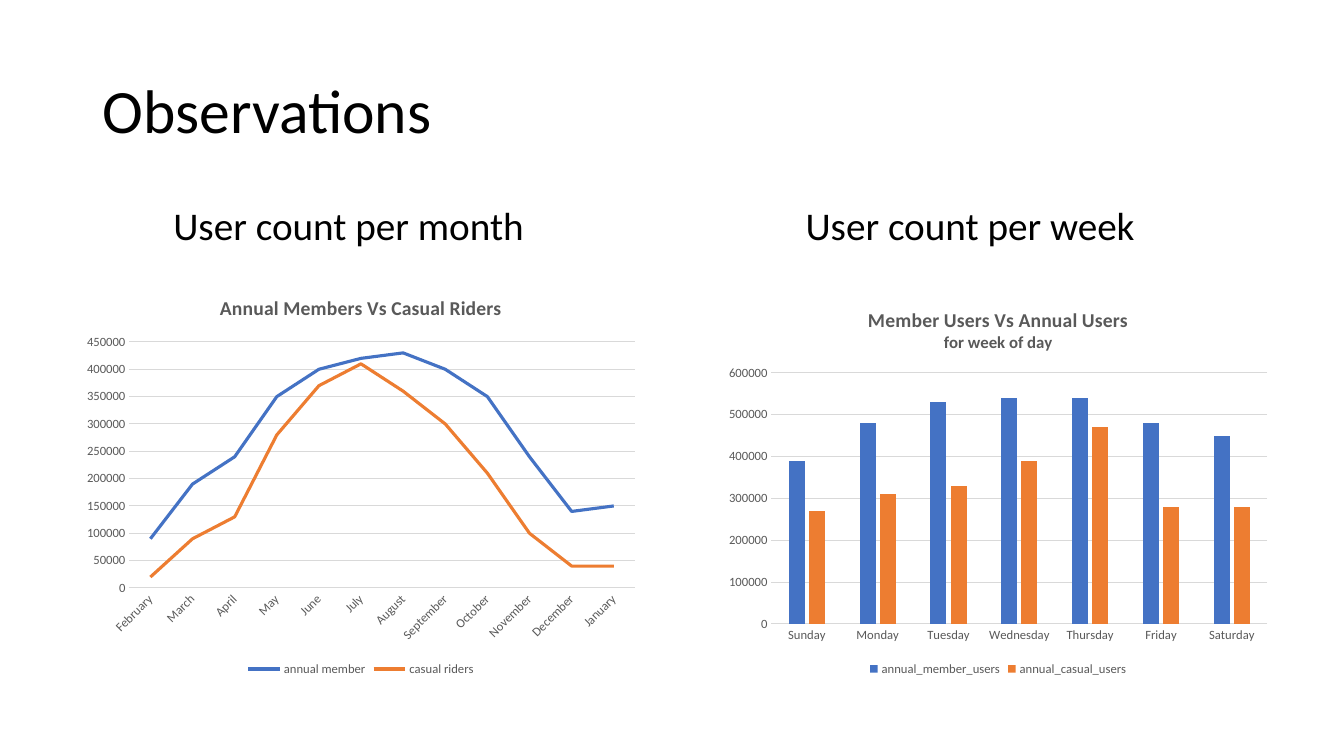
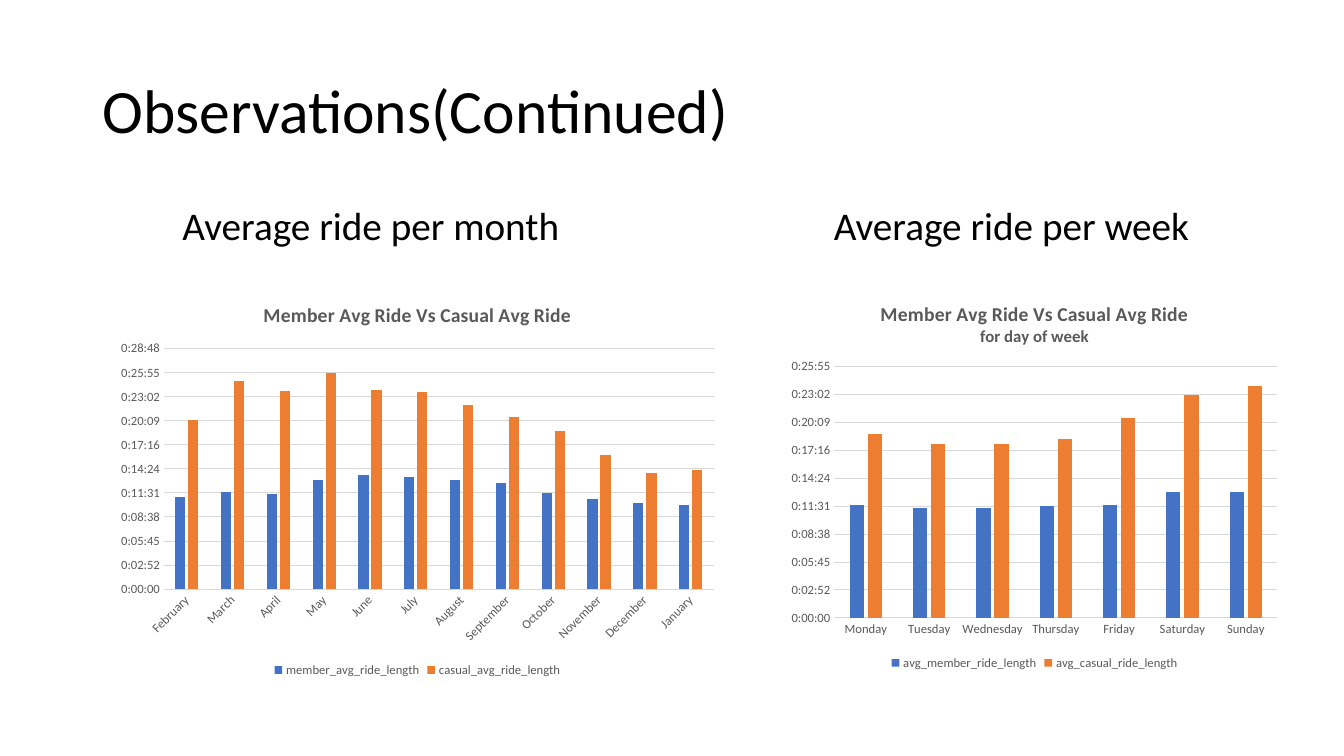
import dataclasses

import pptx
import pptx.chart.data
import pptx.dml.color
import pptx.enum.chart
import pptx.enum.text
import pptx.util

Inches = pptx.util.Inches
Pt = pptx.util.Pt
ChartType = pptx.enum.chart.XL_CHART_TYPE


@dataclasses.dataclass(frozen=True)
class Theme:
    """Colours, font and type sizes shared by all slides."""
    font: str = "Calibri"
    background: str = "FFFFFF"
    text: str = "000000"
    chart_text: str = "595959"
    grid: str = "D9D9D9"
    series: tuple = ("4472C4", "ED7D31")
    title_size: float = 44
    heading_size: float = 28
    chart_size: float = 10
    label_size: float = 9
    chart_title_sizes: tuple = (14, 12)
    grid_width: float = 0.75
    series_width: float = 2.25


@dataclasses.dataclass(frozen=True)
class Scale:
    """Upper end, step and number format of a value axis."""
    maximum: float
    step: float
    number_format: str = "General"


MONTHS = ("February", "March", "April", "May", "June", "July", "August",
          "September", "October", "November", "December", "January")
WEEK = ("Monday", "Tuesday", "Wednesday", "Thursday", "Friday", "Saturday",
        "Sunday")
WEEK_FROM_SUNDAY = WEEK[-1:] + WEEK[:-1]
MONTH_ANGLE = -45
AUTOMATIC_ANGLE = -1000  # the file format's code for unbroken, self-angled labels
TIME_STEP = 0.002
TIME_FORMAT = "h:mm:ss"


class Deck:
    """Hold the theme, the presentation and the current slide."""

    def __init__(self, theme):
        """Start an empty widescreen presentation."""
        self.theme = theme
        self.presentation = pptx.Presentation()
        self.presentation.slide_width = Inches(13.33)
        self.presentation.slide_height = Inches(7.5)
        self.slide = None

    @staticmethod
    def color(value):
        """Turn a hex string into a colour."""
        return pptx.dml.color.RGBColor.from_string(value)

    def style_font(self, font, size, color, bold=False):
        """Apply the theme font with a size and colour."""
        font.name = self.theme.font
        font.size = Pt(size)
        font.bold = bold
        font.color.rgb = self.color(color)

    def style_line(self, line, color, width):
        """Give a line a colour and a width in points."""
        line.color.rgb = self.color(color)
        line.width = Pt(width)

    def add_slide(self, title):
        """Add a blank slide with its title."""
        self.slide = self.presentation.slides.add_slide(
            self.presentation.slide_layouts[6])
        fill = self.slide.background.fill
        fill.solid()
        fill.fore_color.rgb = self.color(self.theme.background)
        self.add_text(title, (0.92, 0.4, 11.5, 1.45), self.theme.title_size,
                      anchor=pptx.enum.text.MSO_ANCHOR.MIDDLE)

    def add_text(self, text, box, size, indent=0, space_before=0,
                 anchor=pptx.enum.text.MSO_ANCHOR.TOP):
        """Add one paragraph of wrapped text."""
        shape = self.slide.shapes.add_textbox(*map(Inches, box))
        frame = shape.text_frame
        frame.word_wrap = True
        frame.vertical_anchor = anchor
        frame.margin_left = Inches(0.1 + indent)
        paragraph = frame.paragraphs[0]
        paragraph.line_spacing = 0.9
        paragraph.space_before = Pt(space_before)
        run = paragraph.add_run()
        run.text = text
        self.style_font(run.font, size, self.theme.text)

    def add_heading(self, text, left, width, indent):
        """Add the heading of one column."""
        self.add_text(text, (left, 2, width, 4.76), self.theme.heading_size,
                      indent, space_before=10)

    def add_chart(self, chart_type, box, title_lines, categories, series,
                  scale, label_angle=AUTOMATIC_ANGLE):
        """Add a chart with two series and a legend below."""
        data = pptx.chart.data.CategoryChartData()
        data.categories = categories
        for name, values in series.items():
            data.add_series(name, values)
        chart = self.slide.shapes.add_chart(
            chart_type, *map(Inches, box), data).chart
        self.style_font(chart.font, self.theme.chart_size, self.theme.text)
        self.style_chart_title(chart, title_lines)
        self.style_axes(chart, scale, label_angle)
        self.style_series(chart.plots[0], chart_type)
        chart.has_legend = True
        chart.legend.position = pptx.enum.chart.XL_LEGEND_POSITION.BOTTOM
        chart.legend.include_in_layout = False
        self.style_font(chart.legend.font, self.theme.label_size,
                        self.theme.chart_text)

    def style_chart_title(self, chart, lines):
        """Write the chart title, its second line smaller."""
        chart.has_title = True
        frame = chart.chart_title.text_frame
        for index, (line, size) in enumerate(
                zip(lines, self.theme.chart_title_sizes)):
            paragraph = frame.add_paragraph() if index else frame.paragraphs[0]
            run = paragraph.add_run()
            run.text = line
            self.style_font(run.font, size, self.theme.chart_text, bold=True)

    def style_axes(self, chart, scale, label_angle):
        """Set labels, lines, gridlines and scale of both axes."""
        theme = self.theme
        for axis in (chart.category_axis, chart.value_axis):
            axis.major_tick_mark = pptx.enum.chart.XL_TICK_MARK.NONE
            axis.minor_tick_mark = pptx.enum.chart.XL_TICK_MARK.NONE
            self.style_font(axis.tick_labels.font, theme.label_size,
                            theme.chart_text)
        category_axis, value_axis = chart.category_axis, chart.value_axis
        self.style_line(category_axis.format.line, theme.grid, theme.grid_width)
        body = category_axis._element.find("{*}txPr/{*}bodyPr")
        body.set("rot", str(label_angle * 60000))
        body.set("vert", "horz")
        value_axis.format.line.fill.background()
        value_axis.has_major_gridlines = True
        self.style_line(value_axis.major_gridlines.format.line, theme.grid,
                        theme.grid_width)
        value_axis.minimum_scale = 0
        value_axis.maximum_scale = scale.maximum
        value_axis.major_unit = scale.step
        value_axis.tick_labels.number_format = scale.number_format
        value_axis.tick_labels.number_format_is_linked = False

    def style_series(self, plot, chart_type):
        """Colour the lines or columns."""
        plot.vary_by_categories = False
        is_line = chart_type == ChartType.LINE
        if not is_line:
            plot.gap_width = 219
            plot.overlap = -27
        for series, color in zip(plot.series, self.theme.series):
            if is_line:
                series.smooth = False
                series.marker.style = pptx.enum.chart.XL_MARKER_STYLE.NONE
                self.style_line(series.format.line, color,
                                self.theme.series_width)
            else:
                series.format.fill.solid()
                series.format.fill.fore_color.rgb = self.color(color)


def add_user_counts(deck):
    """Build the slide on user counts."""
    deck.add_slide("Observations")
    deck.add_heading("User count per month", 0.92, 5.67, indent=0.7)
    deck.add_heading("User count per week", 6.75, 5.67, indent=1.14)
    deck.add_chart(
        ChartType.LINE, (0.75, 2.75, 5.66, 4),
        ["Annual Members Vs Casual Riders"], MONTHS,
        {"annual member": (90000, 190000, 240000, 350000, 400000, 420000,
                           430000, 400000, 350000, 240000, 140000, 150000),
         "casual riders": (20000, 90000, 130000, 280000, 370000, 410000,
                           360000, 300000, 210000, 100000, 40000, 40000)},
        Scale(450000, 50000), MONTH_ANGLE)
    deck.add_chart(
        ChartType.COLUMN_CLUSTERED, (7.12, 2.88, 5.56, 3.87),
        ["Member Users Vs Annual Users", "for week of day"], WEEK_FROM_SUNDAY,
        {"annual_member_users": (390000, 480000, 530000, 540000, 540000,
                                 480000, 450000),
         "annual_casual_users": (270000, 310000, 330000, 390000, 470000,
                                 280000, 280000)},
        Scale(600000, 100000))


def add_average_rides(deck):
    """Build the slide on average ride lengths."""
    deck.add_slide("Observations(Continued)")
    deck.add_heading("Average ride per month", 0.92, 5.67, indent=0.79)
    deck.add_heading("Average ride per week", 7.56, 4.86, indent=0.61)
    deck.add_chart(
        ChartType.COLUMN_CLUSTERED, (1.08, 2.82, 6.12, 3.94),
        ["Member Avg Ride Vs Casual Avg Ride"], MONTHS,
        {"member_avg_ride_length": (
            0.0077, 0.0081, 0.0079, 0.0091, 0.0095, 0.0093,
            0.0091, 0.0088, 0.008, 0.0075, 0.0072, 0.007),
         "casual_avg_ride_length": (
            0.0141, 0.0173, 0.0165, 0.018, 0.0166, 0.0164,
            0.0153, 0.0143, 0.0132, 0.0112, 0.0097, 0.0099)},
        Scale(0.02, TIME_STEP, TIME_FORMAT), MONTH_ANGLE)
    deck.add_chart(
        ChartType.COLUMN_CLUSTERED, (7.75, 2.82, 5.02, 3.87),
        ["Member Avg Ride Vs Casual Avg Ride", "for day of week"], WEEK,
        {"avg_member_ride_length": (
            0.0081, 0.0079, 0.0079, 0.008, 0.0081, 0.009, 0.009),
         "avg_casual_ride_length": (
            0.0132, 0.0125, 0.0125, 0.0128, 0.0143, 0.016, 0.0166)},
        Scale(0.018, TIME_STEP, TIME_FORMAT))


def main():
    """Build both slides and save them."""
    deck = Deck(Theme())
    add_user_counts(deck)
    add_average_rides(deck)
    deck.presentation.save("out.pptx")


main()
